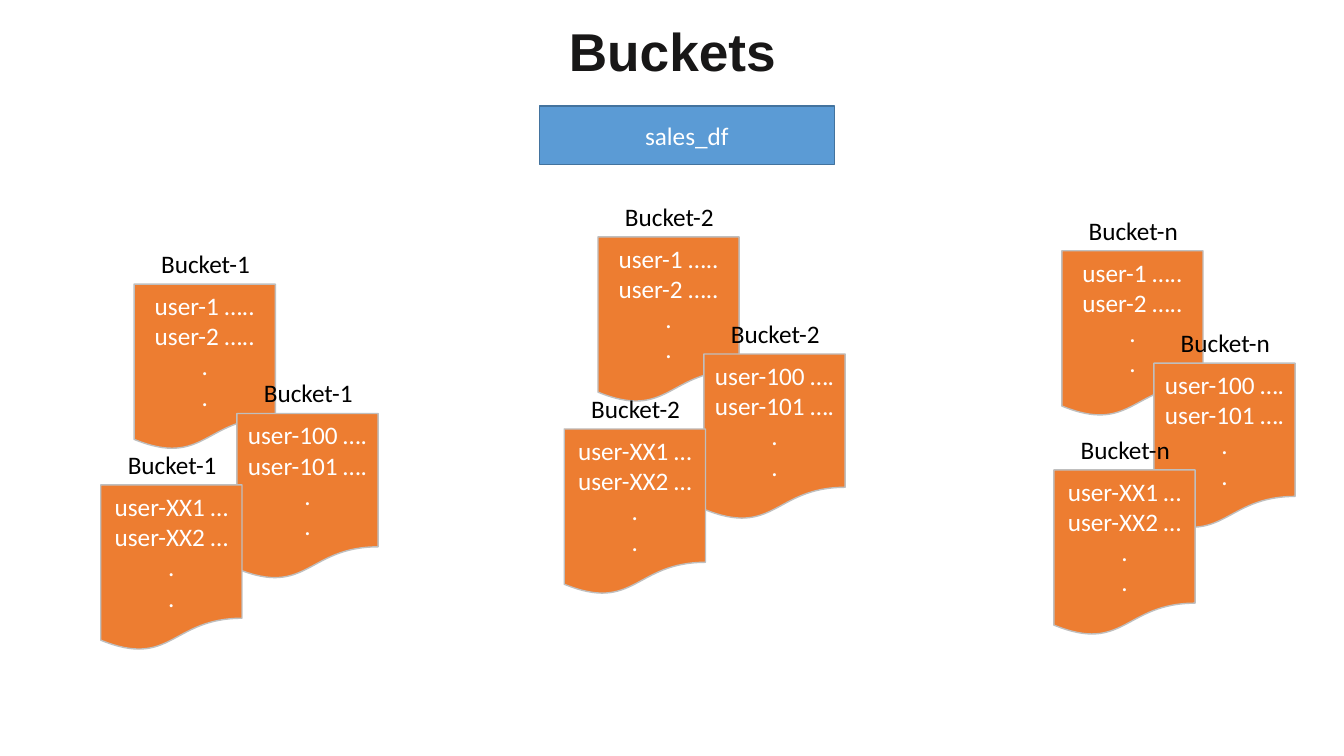
from pptx import Presentation
from pptx.dml.color import RGBColor
from pptx.enum.shapes import MSO_SHAPE as SHAPE
from pptx.enum.text import MSO_ANCHOR as ANCHOR, MSO_AUTO_SIZE as AUTO, PP_ALIGN as ALIGN
from pptx.util import Cm, Pt


def rgb(value):
    return RGBColor.from_string(value)


class BucketSlide:
    font, size = "Calibri", 18
    blue, blue_line = "5B9BD5", "43739E"
    orange, grey_line = "ED7D31", "BFBFBF"
    white, black, heading = "FFFFFF", "000000", "181717"
    page_w, page_h = 3.56, 4.19

    def __init__(self, prs):
        self.s = prs.slides.add_slide(prs.slide_layouts[5])

    def set_text(self, sp, lines, color, frame=None, **font):
        """Fill a shape with centred paragraphs in one style."""
        tf = sp.text_frame
        frame_format = {"word_wrap": True, "vertical_anchor": ANCHOR.MIDDLE,
                        "margin_left": Cm(0.1), "margin_right": Cm(0.1)}
        for name, value in {**frame_format, **(frame or {})}.items():
            setattr(tf, name, value)
        run_format = {"name": self.font, "size": Pt(self.size), **font}
        for i, line in enumerate(lines):
            p = tf.paragraphs[0] if i == 0 else tf.add_paragraph()
            p.alignment = ALIGN.CENTER
            r = p.add_run()
            r.text = line
            for name, value in run_format.items():
                setattr(r.font, name, value)
            r.font.color.rgb = rgb(color)

    def title(self, text, *box):
        sp = self.s.shapes.title
        sp.left, sp.top, sp.width, sp.height = map(Cm, box)
        frame = {"vertical_anchor": ANCHOR.BOTTOM, "auto_size": AUTO.NONE}
        self.set_text(sp, [text], self.heading, frame, name="Arial", size=Pt(38), bold=True)
        sp.text_frame.paragraphs[0].line_spacing = 0.9

    def box(self, shapes, kind, lines, fill, line, *box):
        sp = shapes.add_shape(kind, *map(Cm, box))
        sp.shadow.inherit = False
        sp.fill.solid()
        sp.fill.fore_color.rgb = rgb(fill)
        sp.line.color.rgb = rgb(line)
        sp.line.width = Pt(1)
        self.set_text(sp, lines, self.white)

    def label(self, shapes, text, *box):
        sp = shapes.add_textbox(*map(Cm, box))
        self.set_text(sp, [text], self.black,
                      {"vertical_anchor": ANCHOR.TOP, "auto_size": AUTO.SHAPE_TO_FIT_TEXT})

    def bucket_file(self, name, users, x, y):
        """One grouped document page with its bucket name above."""
        shapes = self.s.shapes.add_group_shape().shapes
        self.box(shapes, SHAPE.FLOWCHART_DOCUMENT, [*users, ".", "."],
                 self.orange, self.grey_line, x, y, self.page_w, self.page_h)
        self.label(shapes, name, x - 0.12, y - 1.03, 3.84, 1.02)


USERS = [("user-1 …..", "user-2 ….."),
         ("user-100 ….", "user-101 …."),
         ("user-XX1 …", "user-XX2 …")]

# Page corners in cm, one per user range
BUCKETS = {
    "Bucket-1": [(3.38, 7.16), (5.97, 10.42), (2.54, 12.22)],
    "Bucket-2": [(15.07, 5.97), (17.74, 8.92), (14.22, 10.81)],
    "Bucket-n": [(26.76, 6.32), (29.08, 9.15), (26.56, 11.84)],
}


def main():
    prs = Presentation()
    prs.slide_width, prs.slide_height = Cm(33.87), Cm(19.05)
    slide = BucketSlide(prs)

    # Heading and source data frame
    slide.title("Buckets", 9.02, 0.76, 15.85, 1.47)
    slide.box(slide.s.shapes, SHAPE.RECTANGLE, ["sales_df"],
              slide.blue, slide.blue_line, 13.59, 2.67, 7.44, 1.47)

    # Files of each bucket
    for name, corners in BUCKETS.items():
        for users, (x, y) in zip(USERS, corners):
            slide.bucket_file(name, users, x, y)

    prs.save("out.pptx")


if __name__ == "__main__":
    main()
